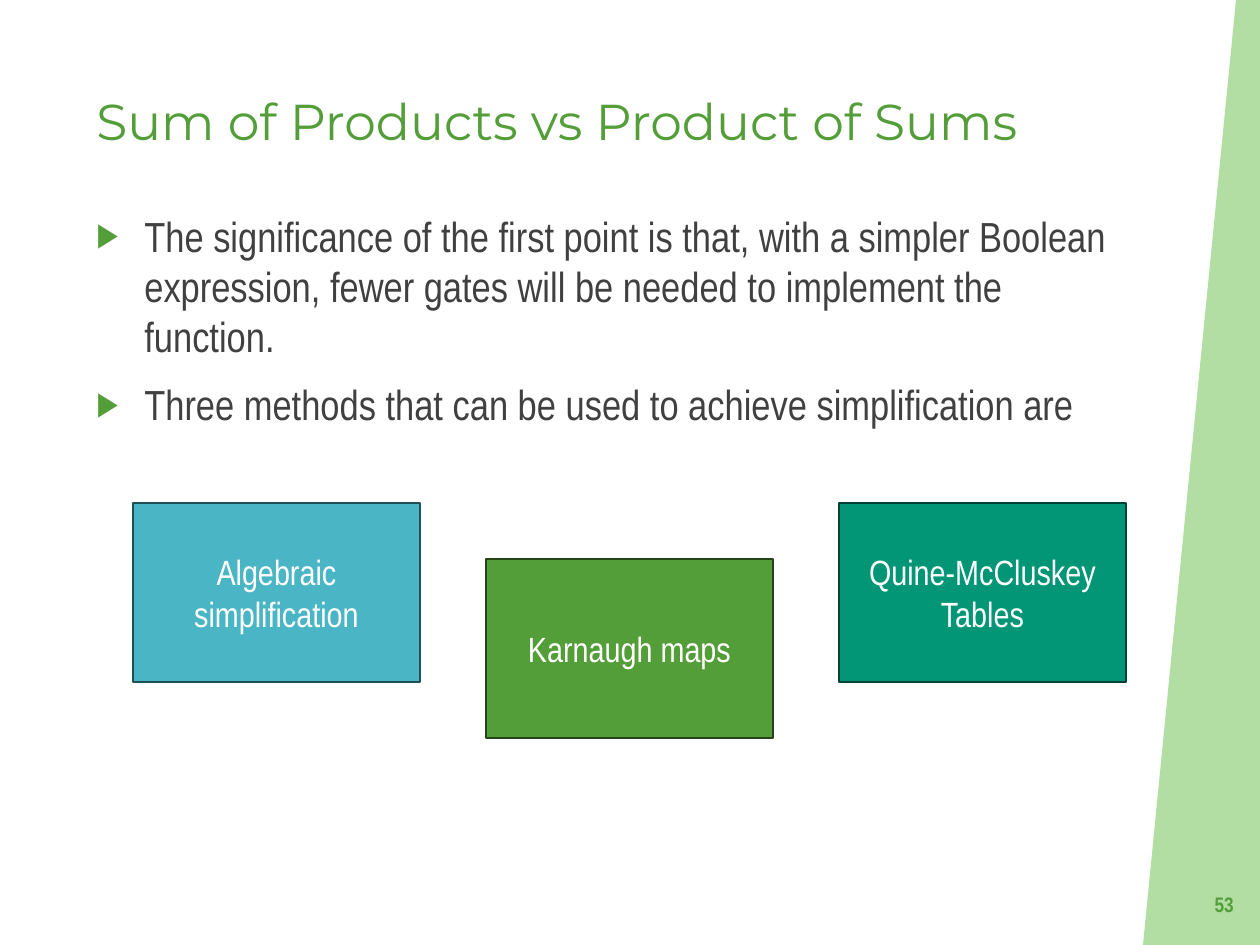
from dataclasses import dataclass

from lxml.etree import SubElement
from pptx import Presentation
from pptx.dml.color import RGBColor
from pptx.enum.shapes import MSO_SHAPE as SHAPE
from pptx.enum.text import MSO_ANCHOR as ANCHOR, PP_ALIGN as ALIGN
from pptx.oxml.ns import qn
from pptx.util import Emu, Pt

SCALE = 914400 / 126  # EMU per px


def px(n):
    return Emu(round(n * SCALE))


@dataclass(frozen=True)
class Theme:
    green: str = "549E39"
    band: str = "93D07D"
    text: str = "404040"
    white: str = "FFFFFF"
    teal: tuple = ("4AB5C4", "204F56")
    leaf: tuple = ("549E39", "254519")
    sea: tuple = ("029676", "014234")
    head_font: str = "Montserrat"
    body_font: str = "Arial Narrow"
    title_size: float = 28.8
    body_size: int = 24
    box_size: int = 20
    number_size: int = 12


class Deck:
    def __init__(self, slide, theme):
        self.s, self.t = slide, theme

    def run(self, p, text, size, color, font=None, bold=False):
        r = p.add_run()
        r.text = text
        r.font.name = font or self.t.body_font
        r.font.size = Pt(size)
        r.font.bold = bold
        r.font.color.rgb = RGBColor.from_string(color)

    def frame(self, x, y, w, h, anchor=ANCHOR.TOP):
        tf = self.s.shapes.add_textbox(px(x), px(y), px(w), px(h)).text_frame
        tf.word_wrap = True
        tf.vertical_anchor = anchor
        return tf

    def band(self, points, color, alpha):
        fb = self.s.shapes.build_freeform(*points[0], scale=SCALE)
        fb.add_line_segments(points[1:], close=True)
        sp = fb.convert_to_shape()
        sp.shadow.inherit = False
        sp.line.fill.background()
        sp.fill.solid()
        sp.fill.fore_color.rgb = RGBColor.from_string(color)
        clr = sp.fill._xPr.find(qn("a:solidFill"))[0]
        SubElement(clr, qn("a:alpha"), val=str(alpha * 1000))

    def title(self, text, *at):
        p = self.frame(*at).paragraphs[0]
        self.run(p, text, self.t.title_size, self.t.green, self.t.head_font)

    def bullets(self, items, *at):
        tf = self.frame(*at)
        for i, text in enumerate(items):
            p = tf.add_paragraph() if i else tf.paragraphs[0]
            if i:
                p.space_before = Pt(10)
            pPr = p._p.get_or_add_pPr()
            pPr.set("marL", str(px(48)))
            pPr.set("indent", str(-px(48)))
            color = SubElement(pPr, qn("a:buClr"))
            SubElement(color, qn("a:srgbClr"), val=self.t.green)
            SubElement(pPr, qn("a:buSzPct"), val="80000")
            SubElement(pPr, qn("a:buFont"), typeface="Arial")
            SubElement(pPr, qn("a:buChar"), char="▶")
            self.run(p, text, self.t.body_size, self.t.text)

    def box(self, text, colors, x, y, w, h):
        sp = self.s.shapes.add_shape(SHAPE.RECTANGLE, px(x), px(y), px(w), px(h))
        sp.shadow.inherit = False
        fill, line = map(RGBColor.from_string, colors)
        sp.fill.solid()
        sp.fill.fore_color.rgb = fill
        sp.line.color.rgb = line
        sp.line.width = Pt(1.5)
        tf = sp.text_frame
        tf.word_wrap = True
        tf.vertical_anchor = ANCHOR.MIDDLE
        p = tf.paragraphs[0]
        p.alignment = ALIGN.CENTER
        self.run(p, text, self.t.box_size, self.t.white)

    def number(self, text, *at):
        p = self.frame(*at, anchor=ANCHOR.MIDDLE).paragraphs[0]
        p.alignment = ALIGN.RIGHT
        self.run(p, text, self.t.number_size, self.t.green, bold=True)


def main():
    prs = Presentation()
    prs.slide_width, prs.slide_height = px(1260), px(945)
    theme = Theme()
    deck = Deck(prs.slides.add_slide(prs.slide_layouts[6]), theme)

    # Slanted band on the right edge
    deck.band([(1236, 0), (1143, 945), (1260, 945), (1260, 0)], theme.band, 70)

    # Title and body
    deck.title("Sum of Products vs Product of Sums", 84, 84, 1060, 101)
    deck.bullets([
        "The significance of the first point is that, with a simpler Boolean "
        "expression, fewer gates will be needed to implement the function.",
        "Three methods that can be used to achieve simplification are",
    ], 84, 204, 1060, 627)

    # Three methods at an equal pitch, the middle one lower
    methods = [
        ("Algebraic simplification", theme.teal, 503),
        ("Karnaugh maps", theme.leaf, 559),
        ("Quine-McCluskey Tables", theme.sea, 503),
    ]
    for i, (text, colors, y) in enumerate(methods):
        deck.box(text, colors, 133 + i * 353, y, 287, 179)

    # Slide number
    deck.number("53", 1176, 879, 70, 50)

    prs.save("out.pptx")


if __name__ == "__main__":
    main()
